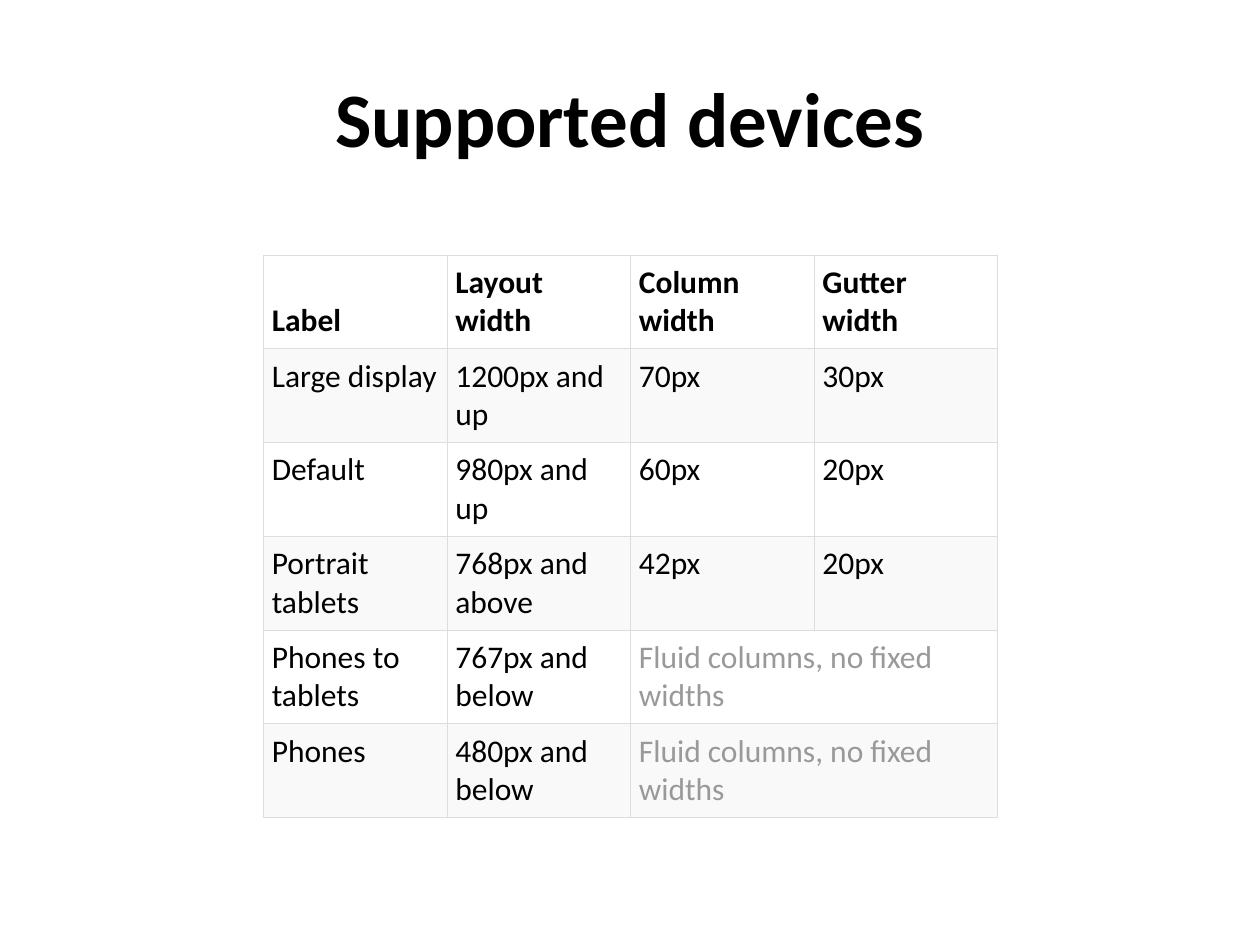
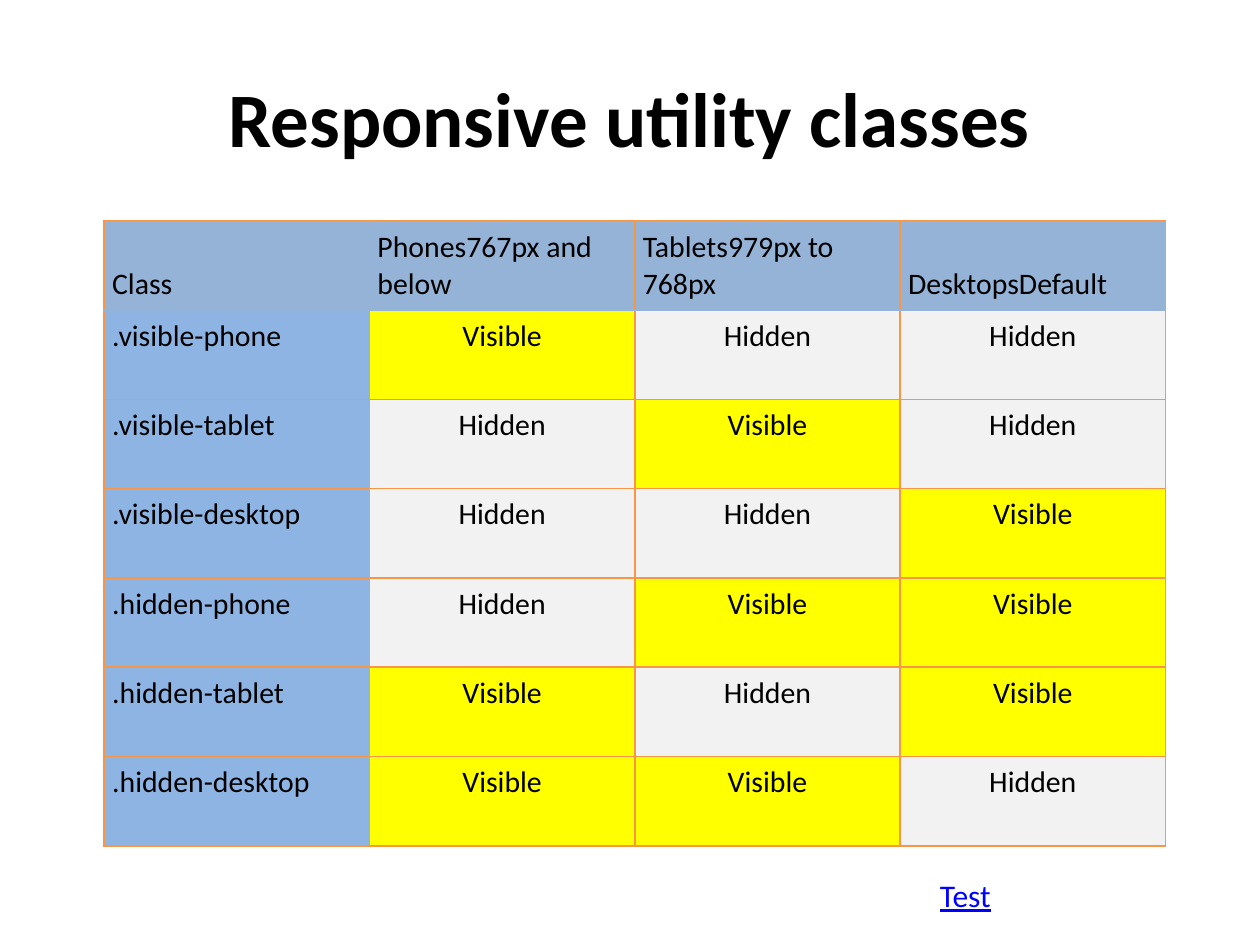
"""Build two slides of tables on responsive layout: supported devices and utility classes."""
from dataclasses import dataclass

import lxml.etree
import pptx
import pptx.dml.color
import pptx.enum.text
import pptx.oxml.ns
import pptx.util

Cm, Pt = pptx.util.Cm, pptx.util.Pt
ALIGN = pptx.enum.text.PP_ALIGN
ANCHOR = pptx.enum.text.MSO_ANCHOR
FLUID = "Fluid columns, no fixed widths"

DEVICES = [
    ("Label", "Layout width", "Column width", "Gutter width"),
    ("Large display", "1200px and up", "70px", "30px"),
    ("Default", "980px and up", "60px", "20px"),
    ("Portrait tablets", "768px and above", "42px", "20px"),
    ("Phones to tablets", "767px and below", FLUID),
    ("Phones", "480px and below", FLUID),
]
CLASSES = [
    ("Class", "Phones767px and below", "Tablets979px to 768px", "DesktopsDefault"),
    (".visible-phone", "Visible", "Hidden", "Hidden"),
    (".visible-tablet", "Hidden", "Visible", "Hidden"),
    (".visible-desktop", "Hidden", "Hidden", "Visible"),
    (".hidden-phone", "Hidden", "Visible", "Visible"),
    (".hidden-tablet", "Visible", "Hidden", "Visible"),
    (".hidden-desktop", "Visible", "Visible", "Hidden"),
]


@dataclass(frozen=True)
class Theme:
    font: str = "Calibri"
    title_size: int = 44
    device_size: int = 18
    class_size: int = 17
    link_size: int = 18
    text: str = "000000"
    muted: str = "999999"
    link: str = "0000FF"
    plain: str = "FFFFFF"
    stripe: str = "F9F9F9"
    grid: str = "DDDDDD"
    header: str = "95B3D7"
    label: str = "8EB4E3"
    visible: str = "FFFF00"
    hidden: str = "F2F2F2"
    accent: str = "F79646"


THEME = Theme()


def rgb(value):
    return pptx.dml.color.RGBColor.from_string(value)


def write(tf, text, size, color=THEME.text, bold=False, align=ALIGN.LEFT):
    tf.word_wrap = True
    p = tf.paragraphs[0]
    p.text, p.alignment = text, align
    p.font.name, p.font.size, p.font.bold = THEME.font, Pt(size), bold
    p.font.color.rgb = rgb(color)
    return p


def add_slide(prs, title):
    s = prs.slides.add_slide(prs.slide_layouts[6])
    sp = s.shapes.add_textbox(Cm(1.27), Cm(0.76), Cm(22.86), Cm(3.18))
    sp.text_frame.vertical_anchor = ANCHOR.MIDDLE
    write(sp.text_frame, title, THEME.title_size, bold=True, align=ALIGN.CENTER)
    return s


def set_borders(cell, colors, width):
    tc_pr = cell._tc.get_or_add_tcPr()
    qn = pptx.oxml.ns.qn
    for side, color in zip("LRTB", colors):
        ln = lxml.etree.SubElement(tc_pr, qn(f"a:ln{side}"), w=str(Pt(width)))
        fill = lxml.etree.SubElement(ln, qn("a:solidFill"))
        lxml.etree.SubElement(fill, qn("a:srgbClr"), val=color)


def add_table(s, rows, left, top, col_width, row_height, inset, line_width, size, style):
    n_rows, n_cols = len(rows), len(rows[0])
    table = s.shapes.add_table(n_rows, n_cols, left, top,
                               col_width * n_cols, row_height * n_rows).table
    table.first_row = table.horz_banding = False
    for r, values in enumerate(rows):
        for c in range(n_cols):
            cell = table.cell(r, c)
            look = style(r, c, values[min(c, len(values) - 1)])
            set_borders(cell, look["borders"], line_width)
            cell.fill.solid()
            cell.fill.fore_color.rgb = rgb(look["fill"])
            cell.margin_left = cell.margin_right = inset
            cell.margin_top = cell.margin_bottom = inset
            cell.vertical_anchor = ANCHOR.TOP if r else ANCHOR.BOTTOM
            if c < len(values):
                write(cell.text_frame, values[c], size, **look["text"])
        if len(values) < n_cols:
            table.cell(r, len(values) - 1).merge(table.cell(r, n_cols - 1))


def device_style(r, c, value):
    return {
        "borders": [THEME.grid] * 4,
        "fill": THEME.stripe if r % 2 else THEME.plain,
        "text": {"bold": r == 0, "color": THEME.muted if value == FLUID else THEME.text},
    }


def class_style(r, c, value):
    last = len(CLASSES[0]) - 1
    blended = (c == 1, c in (0, last), r == 1, r == 0)
    states = {"Visible": THEME.visible, "Hidden": THEME.hidden}
    return {
        "borders": [THEME.header if b else THEME.accent for b in blended],
        "fill": states.get(value, THEME.label if r else THEME.header),
        "text": {"align": ALIGN.CENTER if value in states else ALIGN.LEFT},
    }


def main():
    prs = pptx.Presentation()
    prs.slide_width, prs.slide_height = Cm(25.4), Cm(19.05)

    s = add_slide(prs, "Supported devices")
    add_table(s, DEVICES, Cm(5.31), Cm(5.14), Cm(3.7), Cm(1.89), Cm(0.17), 0.6,
              THEME.device_size, device_style)

    s = add_slide(prs, "Responsive utility classes")
    add_table(s, CLASSES, Cm(2.1), Cm(4.45), Cm(5.35), Cm(1.8), Cm(0.16), 1,
              THEME.class_size, class_style)
    sp = s.shapes.add_textbox(Cm(18.7), Cm(17.53), Cm(4.4), Cm(1.02))
    write(sp.text_frame, "Test", THEME.link_size, THEME.link).font.underline = True

    prs.save("out.pptx")


if __name__ == "__main__":
    main()
